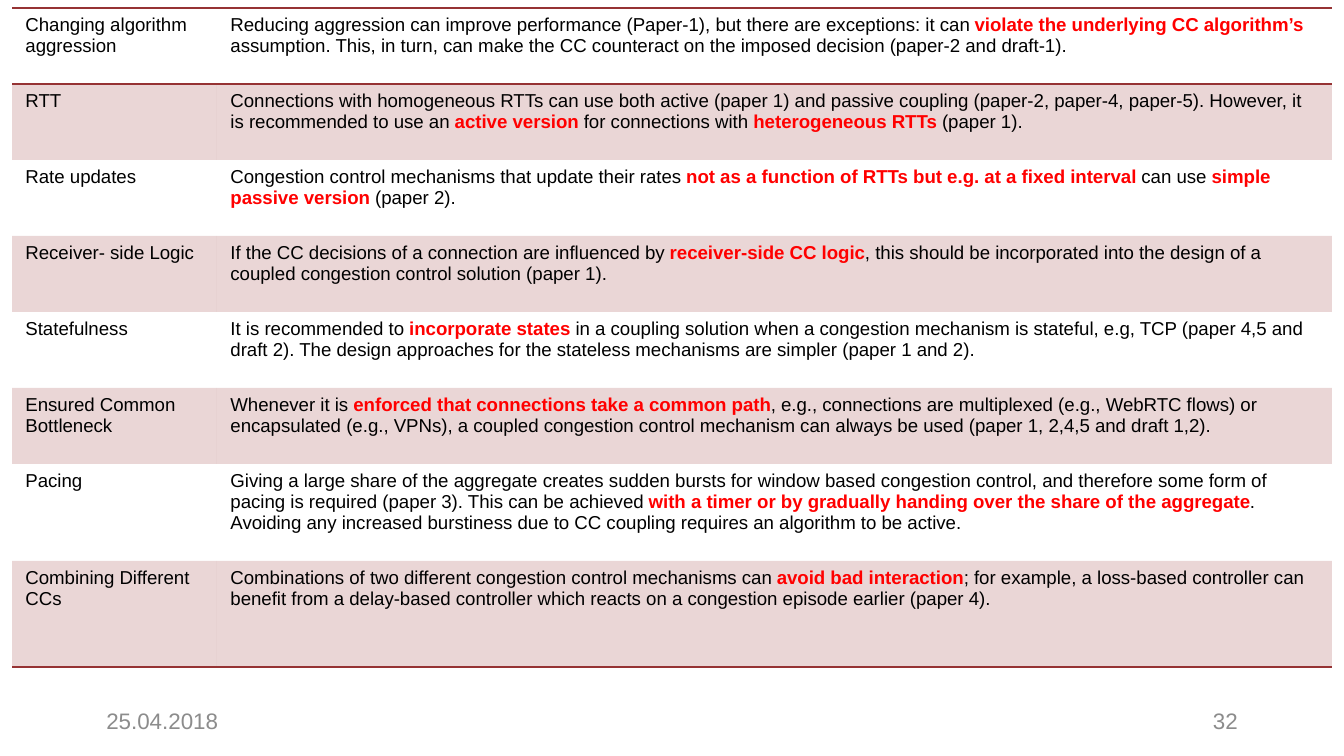
from lxml.etree import SubElement
from pptx import Presentation
from pptx.dml.color import RGBColor
from pptx.enum.text import MSO_ANCHOR as Anchor, PP_ALIGN as Align
from pptx.oxml import parse_xml
from pptx.oxml.ns import nsdecls, qn
from pptx.util import Emu, Pt

BLACK = RGBColor(0x00, 0x00, 0x00)
RED = RGBColor(0xFF, 0x00, 0x00)
GREY = RGBColor(0x8C, 0x8C, 0x8C)
WINE = RGBColor(0x96, 0x33, 0x34)
FONT = "Arial"
SCALE = 9144000 / 1344
NO_STYLE = "{2D5ABB26-0587-4C30-8999-92F81FD0307C}"

# Each topic comes with its advice, where every second run is a key phrase.
ROWS = [
    ("Changing algorithm aggression", [
        "Reducing aggression can improve performance (Paper-1), but there are exceptions: it can ",
        "violate the underlying CC algorithm’s ",
        "assumption. This, in turn, can make the CC counteract on the imposed decision "
        "(paper-2 and draft-1)."]),
    ("RTT", [
        "Connections with homogeneous RTTs can use both active (paper 1) and passive coupling "
        "(paper-2, paper-4, paper-5). However, it is recommended to use an ",
        "active version ",
        "for connections with ",
        "heterogeneous RTTs",
        " (paper 1)."]),
    ("Rate updates", [
        "Congestion control mechanisms that update their rates ",
        "not as a function of RTTs but e.g. at a fixed interval ",
        "can use ",
        "simple passive version ",
        "(paper 2)."]),
    ("Receiver- side Logic", [
        "If the CC decisions of a connection are influenced by ",
        "receiver-side CC logic",
        ", this should be incorporated into the design of a coupled congestion control "
        "solution (paper 1)."]),
    ("Statefulness", [
        "It is recommended to ",
        "incorporate states ",
        "in a coupling solution when a congestion mechanism is stateful, e.g, TCP "
        "(paper 4,5 and draft 2). The design approaches for the stateless mechanisms "
        "are simpler (paper 1 and 2)."]),
    ("Ensured Common Bottleneck", [
        "Whenever it is ",
        "enforced that connections take a common path",
        ", e.g., connections are multiplexed (e.g., WebRTC flows) or encapsulated "
        "(e.g., VPNs), a coupled congestion control mechanism can always be used "
        "(paper 1, 2,4,5 and draft 1,2)."]),
    ("Pacing", [
        "Giving a large share of the aggregate creates sudden bursts for window based "
        "congestion control, and therefore some form of pacing is required (paper 3). "
        "This can be achieved ",
        "with a timer or by gradually handing over the share of the aggregate",
        ". Avoiding any increased burstiness due to CC coupling requires an algorithm "
        "to be active."]),
    ("Combining Different CCs", [
        "Combinations of two different congestion control mechanisms can ",
        "avoid bad interaction",
        "; for example, a loss-based controller can benefit from a delay-based controller "
        "which reacts on a congestion episode earlier (paper 4)."]),
]
WIDTHS = [205, 1115]
HEIGHTS = [76] * 6 + [97, 106]


def px(n):
    return Emu(round(n * SCALE))


class Deck:
    """Holds the style and the current slide."""

    def __init__(self, wide, high):
        self.prs = Presentation()
        self.prs.slide_width, self.prs.slide_height = px(wide), px(high)
        self.slide = self.prs.slides.add_slide(self.prs.slide_layouts[6])

    def run(self, para, text, size, color, bold=False):
        run = para.add_run()
        run.text = text
        font = run.font
        font.name, font.size, font.bold = FONT, Pt(size), bold
        font.color.rgb = color

    def label(self, left, top, wide, high, text, align):
        box = self.slide.shapes.add_textbox(px(left), px(top), px(wide), px(high))
        frame = box.text_frame
        frame.word_wrap = True
        frame.vertical_anchor = Anchor.MIDDLE
        para = frame.paragraphs[0]
        para.alignment = align
        self.run(para, text, 12, GREY)

    def tint(self, cell):
        """Fill a cell with wine at 20 % opacity."""
        cell.fill.solid()
        cell.fill.fore_color.rgb = WINE
        for color in cell.fill._xPr.iter(qn("a:srgbClr")):
            SubElement(color, qn("a:alpha")).set("val", "20000")

    def rule(self, cell, sides):
        """Draw 1 pt lines on the given sides, T before B."""
        props = cell._tc.get_or_add_tcPr()
        for i, side in enumerate(sides):
            props.insert(i, parse_xml(
                f'<a:ln{side} {nsdecls("a")} w="12700"><a:solidFill>'
                f'<a:srgbClr val="{WINE}"/></a:solidFill></a:ln{side}>'))

    def table(self, left, top, rows, widths, heights):
        shape = self.slide.shapes.add_table(
            len(rows), len(widths), px(left), px(top), px(sum(widths)), px(sum(heights)))
        grid = shape.table
        grid.first_row = grid.horz_banding = False
        grid._tbl.tblPr.find(qn("a:tableStyleId")).text = NO_STYLE
        for col, wide in zip(grid.columns, widths):
            col.width = px(wide)
        for row, high in zip(grid.rows, heights):
            row.height = px(high)
        edges = {0: "TB", len(rows) - 1: "B"}
        for r, (topic, advice) in enumerate(rows):
            for c, parts in enumerate(([topic], advice)):
                cell = grid.cell(r, c)
                para = cell.text_frame.paragraphs[0]
                for i, text in enumerate(parts):
                    key = i % 2 == 1
                    self.run(para, text, 10, RED if key else BLACK, key)
                if r % 2:
                    self.tint(cell)
                else:
                    cell.fill.background()
                self.rule(cell, edges.get(r, ""))


def main():
    deck = Deck(1344, 756)
    deck.label(93, 701, 302, 40, "25.04.2018", Align.LEFT)
    deck.label(949, 701, 302, 40, "32", Align.RIGHT)
    deck.table(12, 8, ROWS, WIDTHS, HEIGHTS)
    deck.prs.save("out.pptx")


if __name__ == "__main__":
    main()
